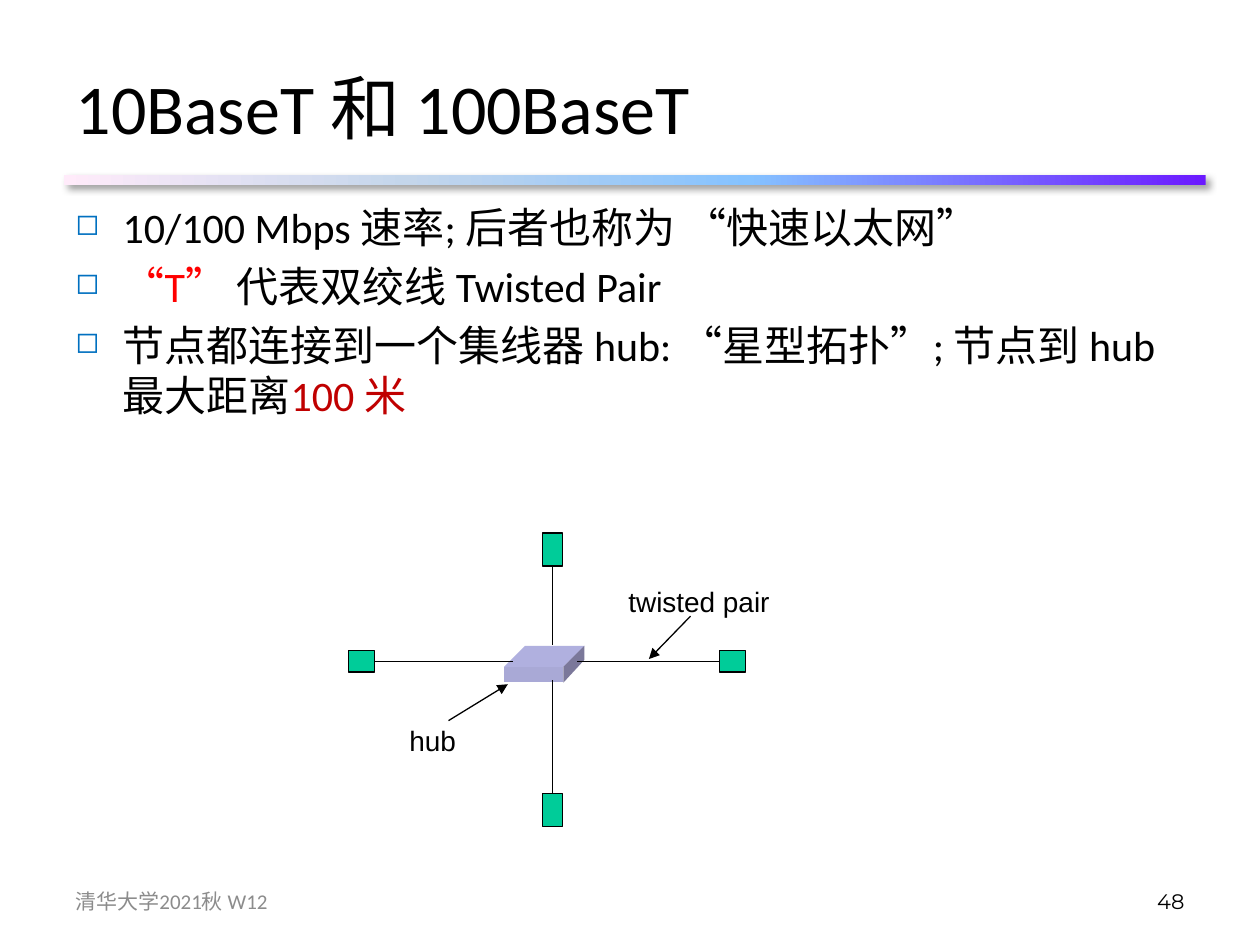
from dataclasses import dataclass

from lxml.etree import SubElement
from pptx import Presentation
from pptx.dml.color import RGBColor
from pptx.enum.shapes import MSO_CONNECTOR, MSO_SHAPE
from pptx.enum.text import MSO_ANCHOR, PP_ALIGN
from pptx.oxml import parse_xml
from pptx.oxml.ns import nsdecls, qn
from pptx.util import Pt


@dataclass(frozen=True)
class Theme:
    """Colours, fonts and type sizes of the slide."""

    ink: str = "000000"
    red: str = "FF0000"
    dark_red: str = "C00000"
    bullet: str = "0070C0"
    footer: str = "8C8C8C"
    node: str = "00CC99"
    hub_front: str = "A9A9D6"
    hub_top: str = "B0B0DF"
    hub_side: str = "7B789A"
    bar_stops: tuple = ((0, "6B19FF"), (40, "85C2FF"), (70, "C4D6EB"), (100, "FFEBFA"))
    text_font: str = "Calibri"
    label_font: str = "Arial"
    number_font: str = "Montserrat"
    title_size: int = 40
    body_size: int = 24
    label_size: int = 16
    footer_size: int = 12
    line_width: float = 0.75


THEME = Theme()


def add_run(paragraph, text, size, font=THEME.text_font, color=THEME.ink):
    """Append one formatted run to a paragraph."""
    run = paragraph.add_run()
    run.text = text
    run.font.size = Pt(size)
    run.font.name = font
    run.font.color.rgb = RGBColor.from_string(color)


def place(shape, left, top, width, height):
    """Set the position and size of a shape in points."""
    shape.left, shape.top = Pt(left), Pt(top)
    shape.width, shape.height = Pt(width), Pt(height)


def add_text(slide, box, text, size, font, color=THEME.ink, align=PP_ALIGN.LEFT,
             anchor=MSO_ANCHOR.TOP, wrap=True):
    """Add a text box holding one run."""
    frame = slide.shapes.add_textbox(*map(Pt, box)).text_frame
    frame.word_wrap = wrap
    frame.vertical_anchor = anchor
    frame.paragraphs[0].alignment = align
    add_run(frame.paragraphs[0], text, size, font, color)


def add_title(slide, text):
    """Move the title placeholder into place and fill it."""
    title = slide.shapes.title
    place(title, 36, 21.6, 648, 78.5)
    title.text_frame.vertical_anchor = MSO_ANCHOR.MIDDLE
    title.text_frame.paragraphs[0].alignment = PP_ALIGN.LEFT
    add_run(title.text_frame.paragraphs[0], text, THEME.title_size)


def add_bullet(paragraph):
    """Give a paragraph a hollow square bullet and a hanging indent."""
    properties = paragraph._p.get_or_add_pPr()
    properties.set("marL", str(Pt(27)))
    properties.set("indent", str(-Pt(27)))
    bullet_color = SubElement(properties, qn("a:buClr"))
    SubElement(bullet_color, qn("a:srgbClr"), val=THEME.bullet)
    SubElement(properties, qn("a:buSzPct"), val="70000")
    SubElement(properties, qn("a:buChar"), char="◻")


def add_bullets(slide, items):
    """Add the bulleted body, each item being a list of (text, colour) runs."""
    frame = slide.shapes.add_textbox(Pt(36), Pt(111.6), Pt(648), Pt(370.8)).text_frame
    frame.word_wrap = True
    for index, runs in enumerate(items):
        paragraph = frame.add_paragraph() if index else frame.paragraphs[0]
        add_bullet(paragraph)
        paragraph.space_before = Pt(4.8 if index else 0)
        for text, color in runs:
            add_run(paragraph, text, THEME.body_size, color=color)


def paint(shape, color, outlined=False):
    """Fill a shape and give it a thin outline or none."""
    shape.shadow.inherit = False
    shape.fill.solid()
    shape.fill.fore_color.rgb = RGBColor.from_string(color)
    if outlined:
        shape.line.color.rgb = RGBColor.from_string(THEME.ink)
        shape.line.width = Pt(THEME.line_width)
    else:
        shape.line.fill.background()


def add_title_bar(slide):
    """Add the gradient bar with a soft shadow below the title."""
    bar = slide.shapes.add_shape(MSO_SHAPE.RECTANGLE, Pt(36.7), Pt(100.1), Pt(652.3), Pt(5.8))
    bar.line.fill.background()
    stops = "".join(f'<a:gs pos="{position * 1000}"><a:srgbClr val="{color}"/></a:gs>'
                    for position, color in THEME.bar_stops)
    properties = bar._element.spPr
    properties.find(qn("a:prstGeom")).addnext(parse_xml(
        f'<a:gradFill {nsdecls("a")}><a:gsLst>{stops}</a:gsLst>'
        '<a:lin ang="10800000" scaled="0"/></a:gradFill>'))
    properties.append(parse_xml(
        f'<a:effectLst {nsdecls("a")}><a:outerShdw blurRad="{Pt(4)}" dist="{Pt(3)}" '
        f'dir="2700000" rotWithShape="0"><a:srgbClr val="{THEME.ink}">'
        '<a:alpha val="40000"/></a:srgbClr></a:outerShdw></a:effectLst>'))


def add_face(slide, corners, color):
    """Add one flat face of the hub from its corner points."""
    builder = slide.shapes.build_freeform(*corners[0], scale=Pt(1))
    builder.add_line_segments(corners[1:], close=True)
    paint(builder.convert_to_shape(), color)


def add_hub(slide, left=288, top=369, width=33.7, height=8.2, depth=12.3):
    """Add the hub as a slab with a front, a top and a side face."""
    right, front = left + width, top + depth
    bottom = front + height
    add_face(slide, [(left, front), (right, front), (right, bottom), (left, bottom)],
             THEME.hub_front)
    add_face(slide, [(left, front), (left + depth, top), (right + depth, top), (right, front)],
             THEME.hub_top)
    add_face(slide, [(right, front), (right + depth, top), (right + depth, top + height),
                     (right, bottom)], THEME.hub_side)


def add_line(slide, start, end, arrow=False):
    """Add a thin straight line, with an arrowhead at its end if asked."""
    line = slide.shapes.add_connector(MSO_CONNECTOR.STRAIGHT, *map(Pt, (*start, *end)))
    line.line.color.rgb = RGBColor.from_string(THEME.ink)
    line.line.width = Pt(THEME.line_width)
    if arrow:
        SubElement(line.line._get_or_add_ln(), qn("a:tailEnd"), type="triangle")
    SubElement(line._element.spPr, qn("a:effectLst"))
    return line


def add_node(slide, box, site, hub_end):
    """Add a node and the cable from its connection site to the hub."""
    node = slide.shapes.add_shape(MSO_SHAPE.RECTANGLE, *map(Pt, box))
    paint(node, THEME.node, outlined=True)
    add_line(slide, hub_end, hub_end).begin_connect(node, site)


def add_star(slide):
    """Add the hub, its four nodes and the two labels."""
    wide, tall = (14.8, 12.2), (11.4, 18.8)
    add_hub(slide)
    add_node(slide, (199.3, 371.9, *wide), 3, (293, 378))
    add_node(slide, (411.2, 371.9, *wide), 1, (329.8, 378))
    add_node(slide, (310, 304.6, *tall), 2, (315.7, 368.6))
    add_node(slide, (310, 453.6, *tall), 0, (315.7, 388.8))
    for box, text, start, end in (
        ((352, 330.5, 104.4, 26.6), "twisted pair", (394.6, 352.1), (370.8, 376.6)),
        ((226.8, 409.7, 41.8, 26.6), "hub", (256.3, 411.8), (290.2, 391)),
    ):
        add_text(slide, box, text, THEME.label_size, THEME.label_font, wrap=False)
        add_line(slide, start, end, arrow=True)


def main():
    """Build the slide and save it."""
    deck = Presentation()
    deck.slide_width, deck.slide_height = Pt(720), Pt(540)
    slide = deck.slides.add_slide(deck.slide_layouts[5])
    add_title_bar(slide)
    add_title(slide, "10BaseT 和 100BaseT")
    add_bullets(slide, [
        [("10/100 Mbps 速率; 后者也称为 “快速以太网”", THEME.ink)],
        [("“T” ", THEME.red), ("代表双绞线 Twisted Pair", THEME.ink)],
        [("节点都连接到一个集线器 hub: “星型拓扑”; 节点到 hub 最大距离", THEME.ink),
         ("100 米", THEME.dark_red)],
    ])
    add_star(slide)
    add_text(slide, (36, 500.4, 168, 28.8), "清华大学2021秋 W12", THEME.footer_size,
             THEME.text_font, THEME.footer, anchor=MSO_ANCHOR.MIDDLE)
    add_text(slide, (516, 500.4, 168, 28.8), "48", THEME.footer_size, THEME.number_font,
             align=PP_ALIGN.RIGHT, anchor=MSO_ANCHOR.MIDDLE)
    deck.save("out.pptx")


if __name__ == "__main__":
    main()
